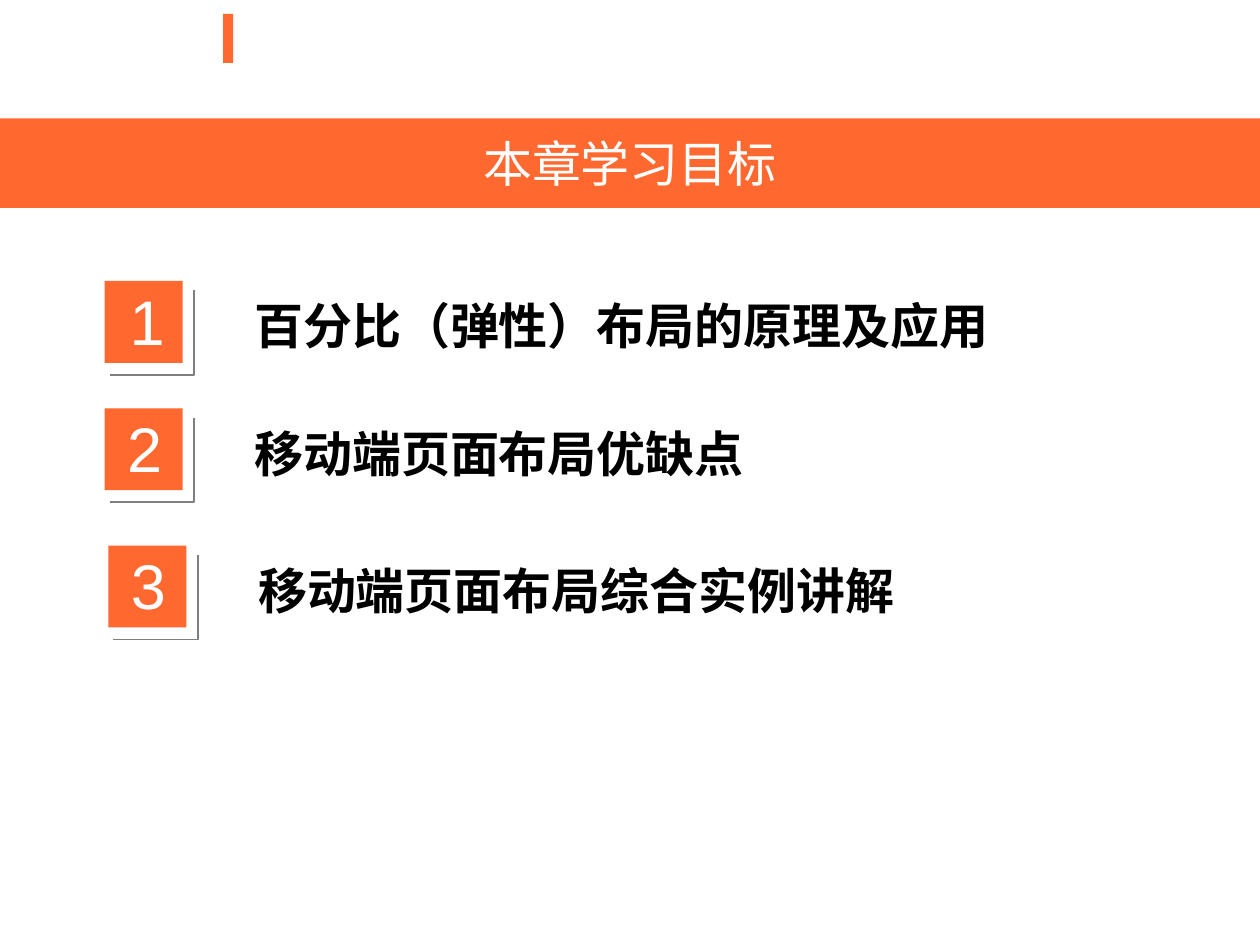
from pptx import Presentation
from pptx.dml.color import RGBColor
from pptx.enum.shapes import MSO_SHAPE
from pptx.enum.text import MSO_ANCHOR, PP_ALIGN
from pptx.util import Inches, Pt

RECT = MSO_SHAPE.RECTANGLE
MIDDLE, TOP = MSO_ANCHOR.MIDDLE, MSO_ANCHOR.TOP
CENTER, LEFT = PP_ALIGN.CENTER, PP_ALIGN.LEFT

ORANGE, WHITE, BLACK, GRAY = "FF682F", "FFFFFF", "000000", "7F7F7F"
COLS, ROWS = 100, 75


def rgb(hex_color):
    return RGBColor.from_string(hex_color)


class Deck:
    """Holds the style and the current slide; lengths are grid columns and rows."""

    font = "Arial"

    def __init__(self, prs):
        self.col = prs.slide_width / COLS
        self.row = prs.slide_height / ROWS
        self.s = prs.slides.add_slide(prs.slide_layouts[6])

    def place(self, x, y, w, h):
        return [round(v) for v in (x * self.col, y * self.row,
                                   w * self.col, h * self.row)]

    def add_text(self, sp, text, size, color, bold=False, align=LEFT, anchor=TOP):
        tf = sp.text_frame
        tf.word_wrap = True
        tf.vertical_anchor = anchor
        p = tf.paragraphs[0]
        p.alignment = align
        r = p.add_run()
        r.text = text
        r.font.name = self.font
        r.font.size = Pt(size)
        r.font.bold = bold
        r.font.color.rgb = rgb(color)

    def block(self, x, y, w, h):
        sp = self.s.shapes.add_shape(RECT, *self.place(x, y, w, h))
        sp.shadow.inherit = False
        sp.fill.solid()
        sp.fill.fore_color.rgb = rgb(ORANGE)
        sp.line.fill.background()
        return sp

    def label(self, x, y, w, h, text, size, color, bold=False):
        sp = self.s.shapes.add_textbox(*self.place(x, y, w, h))
        self.add_text(sp, text, size, color, bold)

    def corner(self, x, y, w, h):
        """Thin line along the bottom and right edges of an area."""
        left, top, width, height = self.place(x, y, w, h)
        right, bottom = left + width, top + height
        fb = self.s.shapes.build_freeform(left, bottom)
        fb.add_line_segments([(right, bottom), (right, top)], close=False)
        sp = fb.convert_to_shape()
        sp.shadow.inherit = False
        sp.fill.background()
        sp.line.color.rgb = rgb(GRAY)
        sp.line.width = Pt(1)

    def goal(self, x, y, number, text, shift):
        """Numbered square with its corner line and the goal beside it."""
        self.block(x, y, 6.2, 6.5)
        self.label(x + shift, y - 0.4, 5.1, 7.1, number, 36, WHITE)
        self.corner(x + 0.4, y + 0.75, 6.7, 6.7)
        self.label(x + 10.9, y + 0.7, 76.9, 5.7, text, 28, BLACK, bold=True)


def main():
    prs = Presentation()
    prs.slide_width, prs.slide_height = Inches(10), Inches(7.5)
    deck = Deck(prs)

    # Header mark and title band
    deck.block(17.7, 1.1, 0.8, 3.9)
    band = deck.block(0, 9.4, COLS, 7.1)
    deck.add_text(band, "本章学习目标", 28, WHITE, align=CENTER, anchor=MIDDLE)

    # Learning goals: left, top, text, indent of the number
    goals = [
        (8.3, 22.3, "百分比（弹性）布局的原理及应用", 1.0),
        (8.3, 32.4, "移动端页面布局优缺点", 0.8),
        (8.6, 43.3, "移动端页面布局综合实例讲解", 0.8),
    ]
    for i, (x, y, text, shift) in enumerate(goals, 1):
        deck.goal(x, y, str(i), text, shift)

    prs.save("out.pptx")


if __name__ == "__main__":
    main()
